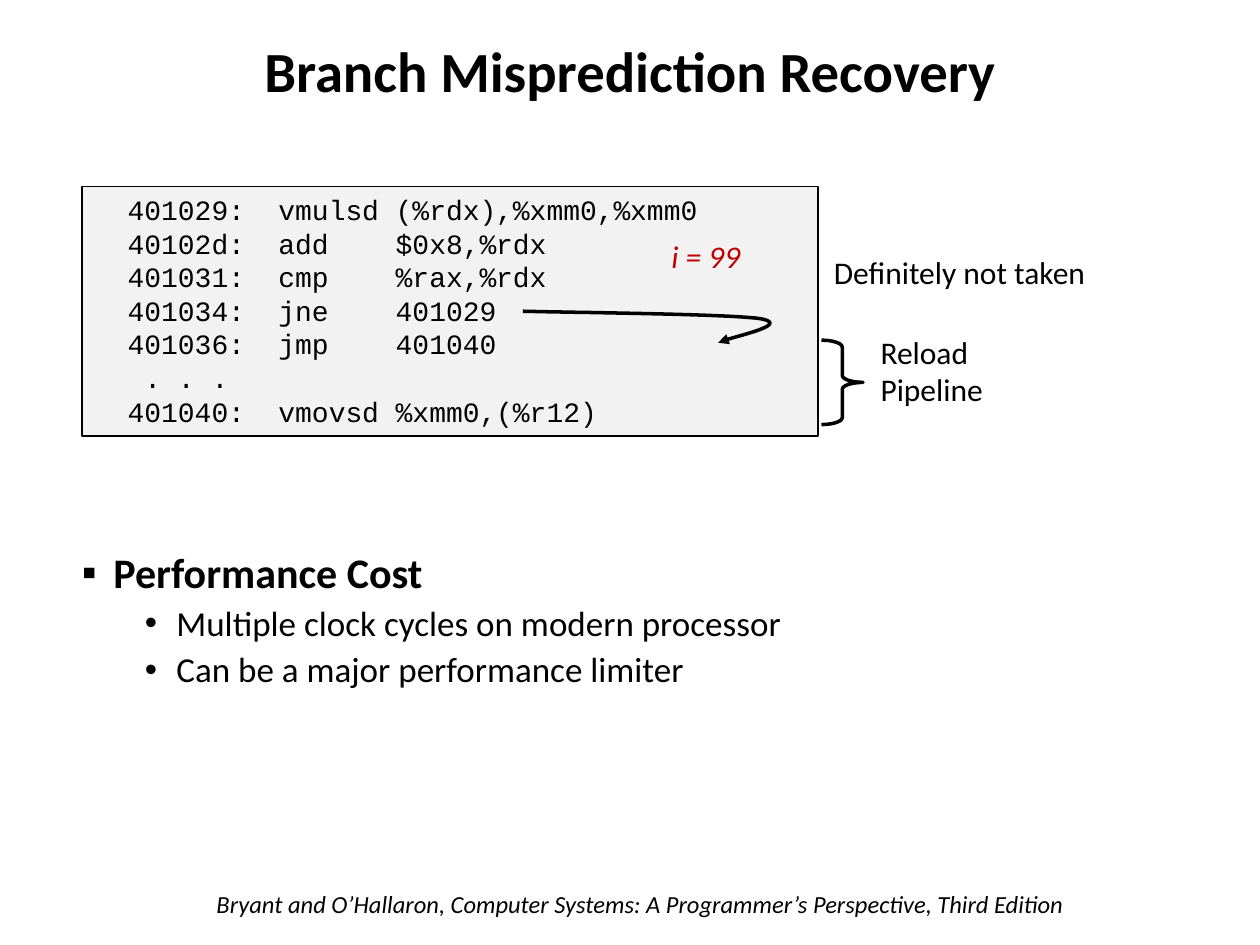
from lxml.etree import SubElement
from pptx import Presentation
from pptx.dml.color import RGBColor
from pptx.enum.shapes import MSO_SHAPE
from pptx.enum.text import MSO_ANCHOR, MSO_AUTO_SIZE, PP_ALIGN
from pptx.oxml.ns import qn
from pptx.util import Inches, Pt

COLORS = {"ink": "000000", "code_fill": "F2F2F2", "iteration": "C00000"}

CODE = """\
  401029:  vmulsd (%rdx),%xmm0,%xmm0
  40102d:  add    $0x8,%rdx
  401031:  cmp    %rax,%rdx
  401034:  jne    401029
  401036:  jmp    401040
   . . .
  401040:  vmovsd %xmm0,(%r12)"""

COSTS = [
    (0, "Performance Cost"),
    (1, "Multiple clock cycles on modern processor"),
    (1, "Can be a major performance limiter"),
]
LEVELS = [
    {"bullet": "▪", "indent": 0.25, "size": 24, "bold": True},
    {"bullet": "•", "indent": 0.75, "size": 20, "bold": False},
]


def rgb(name):
    return RGBColor.from_string(COLORS[name])


def place(shape, box):
    shape.left, shape.top, shape.width, shape.height = map(Inches, box)


def style_runs(paragraph, size, font="Calibri", color="ink", bold=False, italic=False):
    for run in paragraph.runs:
        run.font.name = font
        run.font.size = Pt(size)
        run.font.color.rgb = rgb(color)
        run.font.bold = bold
        run.font.italic = italic


def outline(shape, width):
    shape.shadow.inherit = False
    shape.line.color.rgb = rgb("ink")
    shape.line.width = Pt(width)


def add_title(slide, box):
    title = slide.shapes.title
    place(title, box)
    frame = title.text_frame
    frame.text = "Branch Misprediction Recovery"
    frame.auto_size = MSO_AUTO_SIZE.NONE
    frame.vertical_anchor = MSO_ANCHOR.MIDDLE
    heading = frame.paragraphs[0]
    heading.alignment = PP_ALIGN.CENTER
    heading.line_spacing = 0.9
    style_runs(heading, 32.4, bold=True)


def add_costs(slide, box):
    body = slide.placeholders[1]
    place(body, box)
    frame = body.text_frame
    frame.text = "\n".join(text for _, text in COSTS)
    frame.auto_size = MSO_AUTO_SIZE.NONE
    for index, (paragraph, (level, _)) in enumerate(zip(frame.paragraphs, COSTS)):
        look = LEVELS[level]
        paragraph.level = level
        properties = paragraph._p.get_or_add_pPr()
        properties.set("marL", str(Inches(look["indent"])))
        properties.set("indent", str(Inches(-0.25)))
        SubElement(properties, qn("a:buChar")).set("char", look["bullet"])
        paragraph.line_spacing = 0.9
        paragraph.space_before = Pt(5 if index else 0)
        style_runs(paragraph, look["size"], bold=look["bold"])


def add_label(slide, text, box, size=18, color="ink", italic=False):
    label = slide.shapes.add_textbox(*map(Inches, box))
    frame = label.text_frame
    frame.text = text
    frame.word_wrap = True
    for paragraph in frame.paragraphs:
        style_runs(paragraph, size, color=color, italic=italic)


def add_code(slide, box):
    listing = slide.shapes.add_shape(MSO_SHAPE.RECTANGLE, *map(Inches, box))
    outline(listing, 1)
    listing.fill.solid()
    listing.fill.fore_color.rgb = rgb("code_fill")
    frame = listing.text_frame
    frame.text = CODE
    frame.vertical_anchor = MSO_ANCHOR.TOP
    for line in frame.paragraphs:
        line.alignment = PP_ALIGN.LEFT
        style_runs(line, 16, font="Courier New")


def bezier(start, control_1, control_2, end, steps=20):
    """Return the points of a cubic curve after its start."""
    points = []
    for step in range(1, steps + 1):
        t = step / steps
        weights = ((1 - t) ** 3, 3 * t * (1 - t) ** 2, 3 * t**2 * (1 - t), t**3)
        points.append(tuple(
            Inches(sum(w * c for w, c in zip(weights, axis)))
            for axis in zip(start, control_1, control_2, end)
        ))
    return points


def add_fall_through_arrow(slide, left, top):
    start, bend, end = [
        (left + x, top + y) for x, y in ((0, 0), (1.89, 0.06), (1.55, 0.25))
    ]
    points = bezier(start, (left + 0.32, top + 0.01), (left + 1.63, top + 0.02), bend)
    points += bezier(bend, (left + 2.15, top + 0.11), (left + 1.62, top + 0.21), end)
    builder = slide.shapes.build_freeform(*map(Inches, start))
    builder.add_line_segments(points, close=False)
    arrow = builder.convert_to_shape()
    arrow.fill.background()
    outline(arrow, 2)
    SubElement(arrow.line._get_or_add_ln(), qn("a:tailEnd")).set("type", "triangle")


def add_reload_brace(slide, box):
    brace = slide.shapes.add_shape(MSO_SHAPE.RIGHT_BRACE, *map(Inches, box))
    brace.adjustments[0] = 0.167
    brace.adjustments[1] = 0.5
    brace.fill.background()
    outline(brace, 2)


def add_branch_example(slide, box):
    """Place the code listing and the notes inside and to the right of it."""
    left, top, width, _ = box
    right = left + width
    add_code(slide, box)
    add_fall_through_arrow(slide, left + 3.5, top + 0.99)
    add_label(slide, "i = 99", (left + 4.58, top + 0.35, 0.94, 0.5),
              color="iteration", italic=True)
    add_label(slide, "Definitely not taken", (right + 0.03, top + 0.48, 2.97, 0.5))
    add_reload_brace(slide, (right + 0.03, top + 1.22, 0.33, 0.67))
    add_label(slide, "Reload\nPipeline", (right + 0.4, top + 1.11, 1.33, 0.91))


def main():
    deck = Presentation()
    deck.slide_width, deck.slide_height = Inches(10), Inches(7.5)
    slide = deck.slides.add_slide(deck.slide_layouts[1])
    add_title(slide, (0.87, 0.27, 8.26, 0.63))
    add_branch_example(slide, (0.65, 1.48, 5.84, 1.98))
    add_costs(slide, (0.55, 4.33, 8.76, 1.5))
    add_label(
        slide,
        "Bryant and O’Hallaron, Computer Systems: A Programmer’s Perspective, Third Edition",
        (1.62, 7.01, 7.1, 0.34), size=14, italic=True,
    )
    deck.save("out.pptx")


if __name__ == "__main__":
    main()
